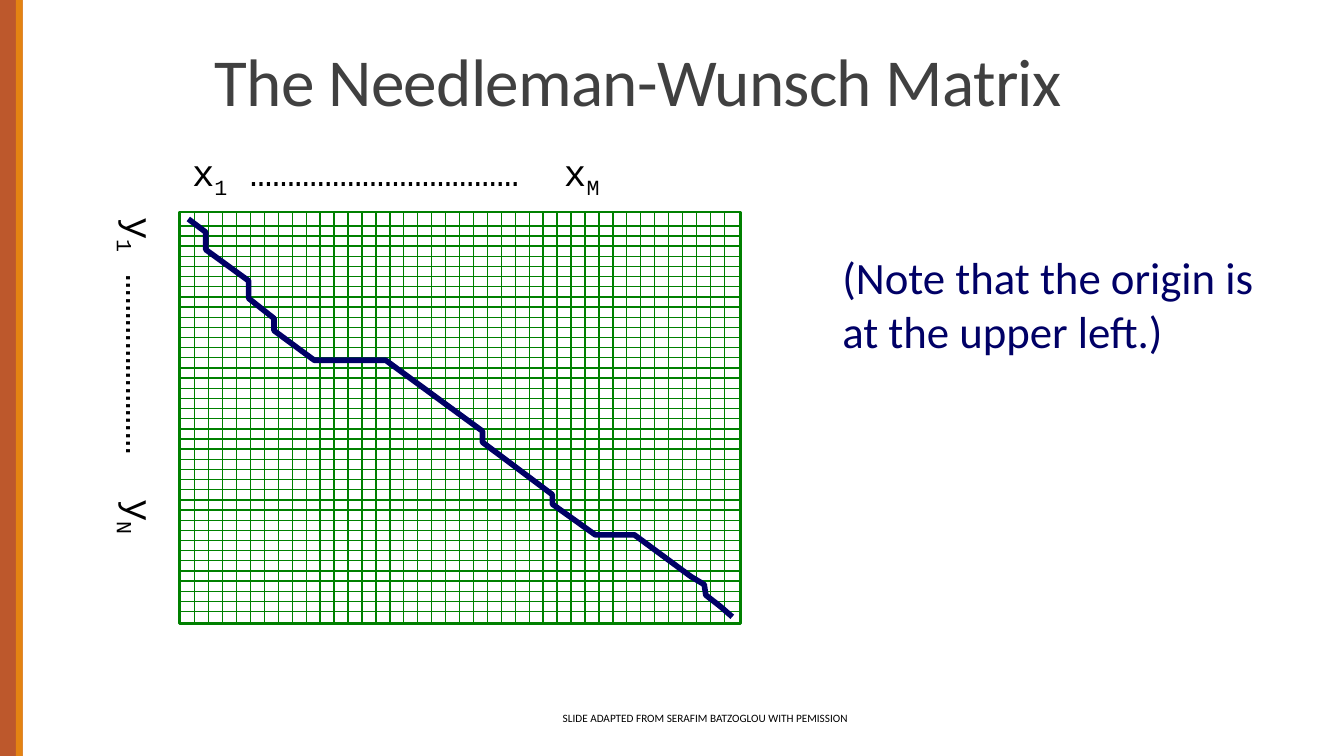
from pptx import Presentation
from pptx.dml.color import RGBColor
from pptx.enum.shapes import MSO_CONNECTOR as Connector, MSO_SHAPE as Preset
from pptx.enum.text import MSO_ANCHOR as Anchor, PP_ALIGN as Align
from pptx.oxml.ns import qn
from pptx.util import Cm, Pt
from lxml import etree

GREEN, NAVY, BLACK = "008000", "000066", "000000"


def color(value):
    return RGBColor.from_string(value)


class Board:
    font = "Calibri"
    mono = "Courier New"

    def __init__(self, slide):
        self.shapes = slide.shapes

    def outline(self, shape, line, weight):
        shape.line.color.rgb = color(line)
        shape.line.width = Pt(weight)

    def rect(self, x, y, w, h, fill=None, line=None, weight=1.5):
        shape = self.shapes.add_shape(Preset.RECTANGLE, Cm(x), Cm(y), Cm(w), Cm(h))
        shape.shadow.inherit = False
        if fill:
            shape.fill.solid()
            shape.fill.fore_color.rgb = color(fill)
        else:
            shape.fill.background()
        if line:
            self.outline(shape, line, weight)
        else:
            shape.line.fill.background()

    def line(self, x1, y1, x2, y2, line, weight=0.75):
        connector = self.shapes.add_connector(
            Connector.STRAIGHT, Cm(x1), Cm(y1), Cm(x2), Cm(y2))
        self.outline(connector, line, weight)
        etree.SubElement(connector._element.spPr, qn("a:effectLst"))

    def polyline(self, points, line, weight):
        start, *rest = [(Cm(x), Cm(y)) for x, y in points]
        builder = self.shapes.build_freeform(*start)
        builder.add_line_segments(rest, close=False)
        shape = builder.convert_to_shape()
        shape.shadow.inherit = False
        shape.fill.background()
        self.outline(shape, line, weight)

    def text(self, x, y, w, h, parts, size, fill=BLACK, font=None, rotation=0,
             anchor=Anchor.TOP, align=Align.LEFT, line_spacing=None, tracking=None):
        box = self.shapes.add_textbox(Cm(x), Cm(y), Cm(w), Cm(h))
        box.rotation = rotation
        frame = box.text_frame
        frame.word_wrap = True
        frame.vertical_anchor = anchor
        paragraph = frame.paragraphs[0]
        paragraph.alignment = align
        paragraph.line_spacing = line_spacing
        for index, part in enumerate(parts):
            run = paragraph.add_run()
            run.text = part
            run.font.size = Pt(size)
            run.font.name = font or self.font
            run.font.color.rgb = color(fill)
            if index % 2:
                run.font._element.set("baseline", "-25000")
            if tracking:
                run.font._element.set("spc", str(tracking))


deck = Presentation()
deck.slide_width, deck.slide_height = Cm(25.4), Cm(14.29)
board = Board(deck.slides.add_slide(deck.slide_layouts[6]))

board.rect(-0.1, 0, 0.53, 14.29, fill="BD582C")
board.rect(0.3, 0, 0.13, 14.29, fill="E48312")
board.text(3.81, 0, 21.59, 2.39, ["The Needleman-Wunsch Matrix"], 36, "404040",
           anchor=Anchor.BOTTOM, line_spacing=0.85, tracking=-40)
board.text(8.46, 13.08, 9.73, 0.97,
           ["SLIDE ADAPTED FROM SERAFIM BATZOGLOU WITH PEMISSION"], 6,
           anchor=Anchor.MIDDLE, align=Align.CENTER)

left, top, width, height = 3.4, 4.01, 10.59, 7.77
right, bottom = left + width, top + height
first_row, last_row = 4.27, 11.56
first_column, last_column = 3.68, 13.69
line_count = 39
board.rect(left, top, width, height, line=GREEN)
for index in range(line_count):
    share = index / (line_count - 1)
    row = first_row + share * (last_row - first_row)
    board.line(left, row, right, row, GREEN)
for index in range(line_count):
    share = index / (line_count - 1)
    column = first_column + share * (last_column - first_column)
    board.line(column, bottom, column, top, GREEN)

alignment_route = [
    (13.84, 11.66), (13.61, 11.46), (13.34, 11.25), (13.31, 11.05), (13.06, 10.9),
    (11.99, 10.11), (11.25, 10.11), (10.44, 9.53), (10.44, 9.35), (9.12, 8.36),
    (9.12, 8.15), (7.29, 6.81), (5.94, 6.81), (5.18, 6.25), (5.18, 6.02),
    (4.7, 5.64), (4.7, 5.31), (3.89, 4.72), (3.89, 4.39), (3.56, 4.14)]
board.polyline(alignment_route, NAVY, 3)

board.text(3.38, 2.69, 11.02, 1.12, ["x", "1", " " + "…" * 12 + "  x", "M"], 20,
           font=board.mono)
board.text(-1.42, 7.37, 8.15, 1.12, ["y", "1", " " + "…" * 8 + "  y", "N"], 20,
           font=board.mono, rotation=90)
board.text(15.67, 4.6, 8.89, 2.31,
           ["(Note that the origin is at the upper left.)"], 24, NAVY)

deck.save("out.pptx")
